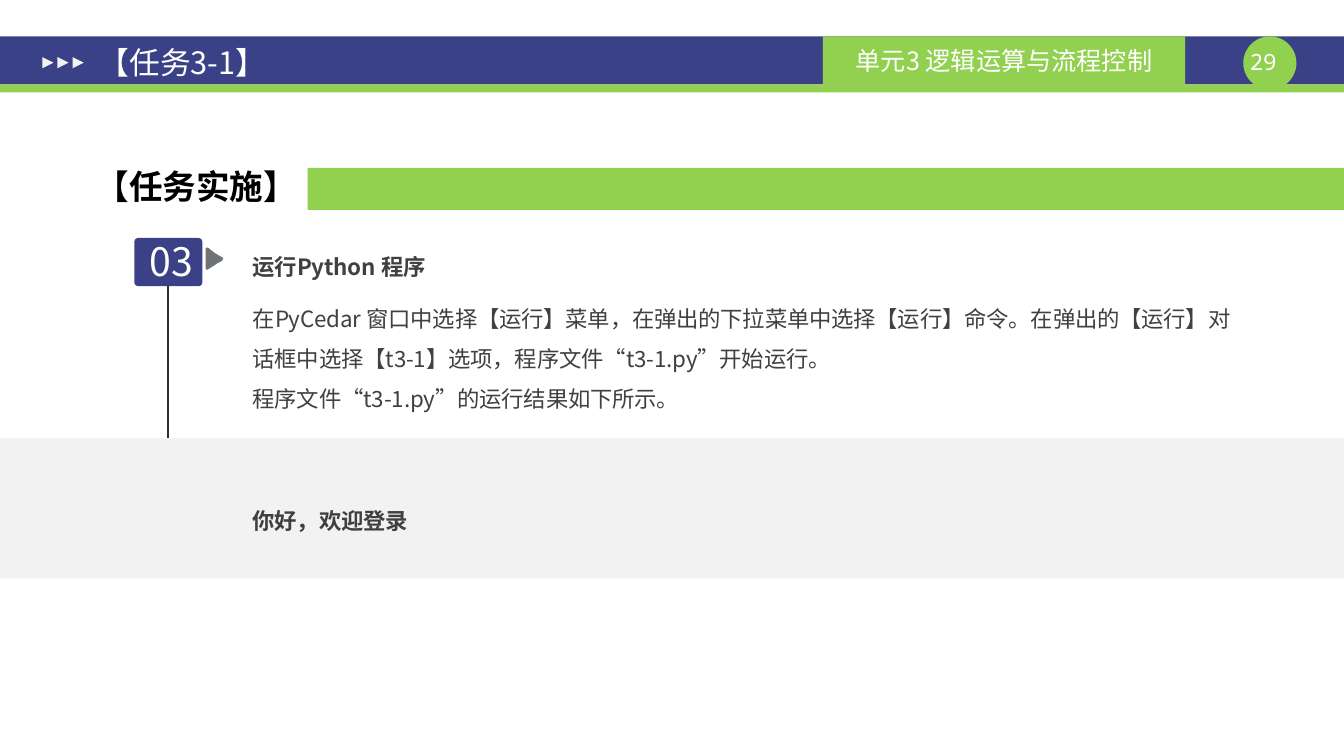
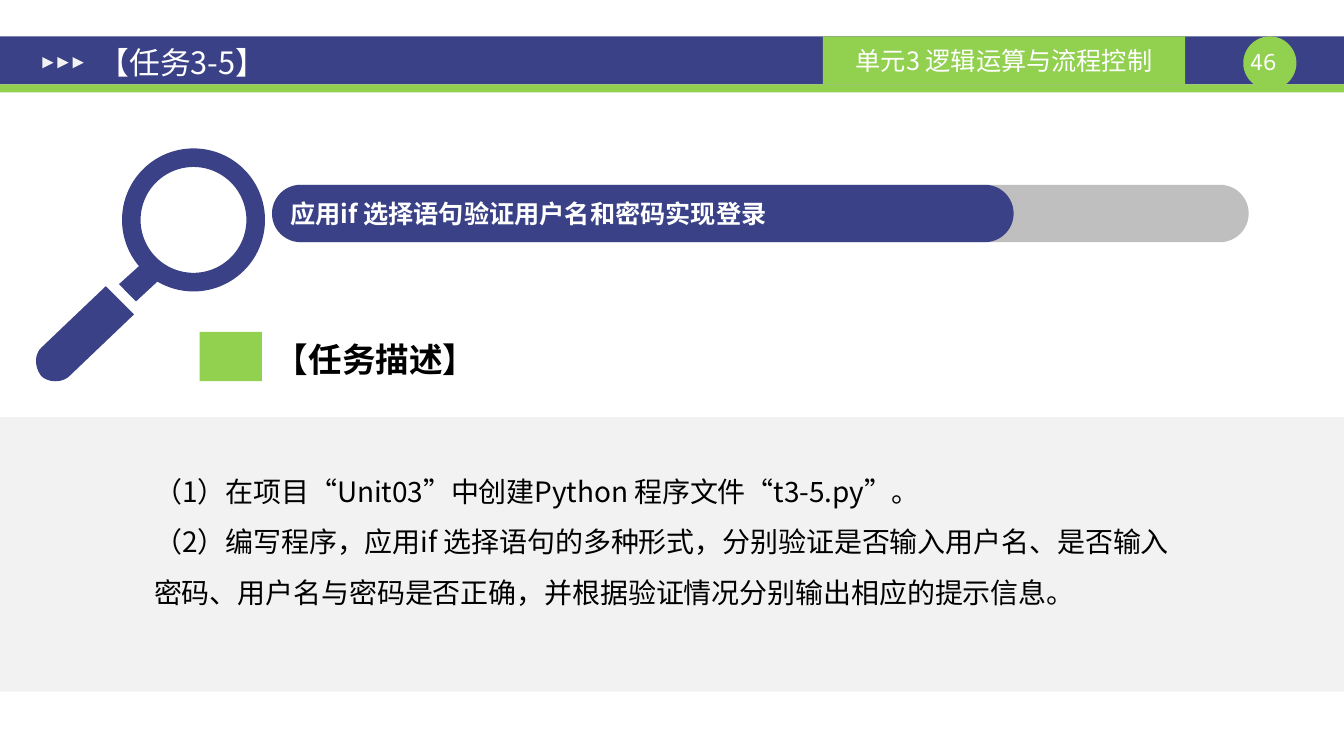
"""Build two course slides about login tasks in Python."""
import pptx
import pptx.dml.color
import pptx.enum.shapes
import pptx.enum.text
import pptx.oxml
import pptx.oxml.ns
import pptx.util

Pt = pptx.util.Pt
Form = pptx.enum.shapes.MSO_SHAPE
Align = pptx.enum.text.PP_ALIGN
Anchor = pptx.enum.text.MSO_ANCHOR
WIDE, HIGH = 960.48, 540
SANS, MONO = "Noto Sans CJK SC", "Noto Sans Mono"
HUES = {
    "navy": "3A4187", "green": "92D050", "white": "FFFFFF", "black": "000000",
    "pale": "F2F2F2", "silver": "BFBFBF", "gray": "6F7376", "ink": "404040",
    "line": "2E2C2C",
}


def tint(name):
    return pptx.dml.color.RGBColor.from_string(HUES[name])


def write(frame, text, size=16, hue="ink", font=SANS, bold=False,
          align=Align.LEFT, lead=None, gap=None, track=None):
    para = frame.add_paragraph() if frame.text else frame.paragraphs[0]
    para.alignment = align
    if lead:
        para.line_spacing = lead
    if gap:
        para.space_before = Pt(gap)
    run = para.add_run()
    run.text = text
    run.font.size = Pt(size)
    run.font.bold = bold
    run.font.name = font
    run.font.color.rgb = tint(hue)
    props = run._r.get_or_add_rPr()
    east = pptx.oxml.parse_xml(f'<a:ea {pptx.oxml.ns.nsdecls("a")} typeface="{font}"/>')
    props.find(pptx.oxml.ns.qn("a:latin")).addnext(east)
    if track:
        props.set("spc", str(round(track * 100)))


def trace(start, steps):
    dots = [start]
    for step in steps:
        if len(step) == 2:
            dots.append(step)
            continue
        x, y = dots[-1]
        a, b, c, d, e, f = step
        for t in (i / 12 for i in range(1, 13)):
            u = 1 - t
            k = (u ** 3, 3 * u * u * t, 3 * u * t * t, t ** 3)
            dots.append((k[0] * x + k[1] * a + k[2] * c + k[3] * e,
                         k[0] * y + k[1] * b + k[2] * d + k[3] * f))
    return [(Pt(x), Pt(y)) for x, y in dots]


class Deck:
    def __init__(self):
        self.show = pptx.Presentation()
        self.show.slide_width, self.show.slide_height = Pt(WIDE), Pt(HIGH)
        self.slide = None

    def paint(self, shape, hue):
        shape.shadow.inherit = False
        shape.fill.solid()
        shape.fill.fore_color.rgb = tint(hue)
        shape.line.fill.background()
        return shape

    def shape(self, left, top, wide, high, hue, form=Form.RECTANGLE, round=None):
        item = self.slide.shapes.add_shape(form, Pt(left), Pt(top), Pt(wide), Pt(high))
        if round is not None:
            item.adjustments[0] = round
        return self.paint(item, hue)

    def label(self, shape, text, **style):
        shape.text_frame.word_wrap = True
        shape.text_frame.vertical_anchor = Anchor.MIDDLE
        write(shape.text_frame, text, **style)

    def text(self, left, top, wide, high, text, inset=(7.2, 3.6),
             anchor=Anchor.TOP, **style):
        box = self.slide.shapes.add_textbox(Pt(left), Pt(top), Pt(wide), Pt(high))
        frame = box.text_frame
        frame.word_wrap = True
        frame.vertical_anchor = anchor
        frame.margin_left = frame.margin_right = Pt(inset[0])
        frame.margin_top = frame.margin_bottom = Pt(inset[1])
        write(frame, text, **style)
        return frame

    def line(self, x, y, to_x, to_y):
        rule = self.slide.shapes.add_connector(
            pptx.enum.shapes.MSO_CONNECTOR.STRAIGHT, Pt(x), Pt(y), Pt(to_x), Pt(to_y))
        rule.line.color.rgb = tint("line")
        rule.line.width = Pt(1)
        rule._element.spPr.append(
            pptx.oxml.parse_xml(f'<a:effectLst {pptx.oxml.ns.nsdecls("a")}/>'))

    def free(self, hue, start, *steps):
        dots = trace(start, steps)
        edge = self.slide.shapes.build_freeform(*dots[0], scale=1.0)
        edge.add_line_segments(dots[1:], close=True)
        self.paint(edge.convert_to_shape(), hue)

    def page(self, title, number):
        self.slide = self.show.slides.add_slide(self.show.slide_layouts[6])
        self.shape(0, 26, WIDE, 34.2, "navy")
        self.shape(0, 60.2, WIDE, 5.8, "green")
        self.shape(888.5, 26, 38, 38, "green", Form.OVAL)
        self.text(883.7, 34.5, 38, 19.5, number, inset=(0, 0), hue="white",
                  font=MONO, align=Align.CENTER)
        unit = self.shape(588, 26, 259, 34.2, "green")
        self.label(unit, "单元3 逻辑运算与流程控制", size=18, hue="white", align=Align.CENTER)
        for i in range(3):
            mark = self.shape(30.2 + 10.8 * i, 40.8, 8, 8, "pale", Form.ISOSCELES_TRIANGLE)
            mark.rotation = 90
        self.text(61.2, 28.8, 520, 31.7, title, inset=(9.4, 5), anchor=Anchor.MIDDLE,
                  size=22, hue="white")

    def head(self, left, top, text):
        self.text(left, top, 188, 36, text, size=24, hue="black", bold=True)

    def lens(self):
        self.free("navy", (117.4, 196.6), (97.2, 215.3), (85, 203), (105.8, 184.3))
        self.shape(87.2, 106, 102.2, 102.2, "navy", Form.DONUT, 0.13)
        self.free("navy", (75.6, 204.5), (29.5, 248.4),
                  (24.5, 253.4, 24.5, 262, 29.5, 268.6),
                  (34.6, 273.6, 44.6, 273.6, 49.7, 268.6), (95.8, 224.6))

    def badge(self, text):
        self.line(120.2, 186.5, 120.2, 313.2)
        self.free("gray", (158.4, 183.6), (153.4, 180.7),
                  (151.9, 179.3, 150.5, 178.6, 149, 177.1),
                  (147.6, 176.4, 146.9, 177.1, 146.9, 178.6), (146.9, 190.8),
                  (146.9, 193, 147.6, 193, 149, 192.2), (153.4, 189.4),
                  (155.5, 187.9, 157, 187.2, 158.4, 186.5),
                  (159.8, 185, 159.8, 184.3, 158.4, 183.6))
        self.shape(96, 170, 48.6, 34.4, "navy", Form.ROUNDED_RECTANGLE, 0.08)
        self.text(94.3, 166.3, 56, 41, text, size=28, hue="white", align=Align.CENTER)


def run_page(deck):
    deck.page("【任务3-1】", "29")
    deck.shape(0, 313.2, WIDE, 100, "pale")
    deck.badge("03")
    deck.shape(219.8, 120, WIDE - 219.8, 30, "green")
    deck.head(61.2, 115.2, "【任务实施】")
    style = {"lead": 1.5, "track": -0.1}
    deck.text(173.5, 167.8, 726.5, 33, "运行Python 程序", bold=True, **style)
    body = deck.text(
        173.5, 204.5, 726.5, 181.4,
        "在PyCedar 窗口中选择【运行】菜单，在弹出的下拉菜单中选择【运行】命令。"
        "在弹出的【运行】对话框中选择【t3-1】选项，程序文件“t3-1.py”开始运行。", **style)
    write(body, "程序文件“t3-1.py”的运行结果如下所示。", **style)
    write(body, "你好，欢迎登录", bold=True, gap=58, **style)


def task_page(deck):
    deck.page("【任务3-5】", "46")
    deck.shape(0, 298, WIDE, 196, "pale")
    deck.shape(194.4, 132, 698, 41, "silver", Form.ROUNDED_RECTANGLE, 0.5)
    pill = deck.shape(194.4, 132, 530, 41, "navy", Form.ROUNDED_RECTANGLE, 0.5)
    deck.label(pill, "应用if 选择语句验证用户名和密码实现登录", size=18, hue="white", bold=True)
    deck.lens()
    deck.shape(142.6, 237, 44.6, 35.3, "green")
    deck.head(189.4, 238.3, "【任务描述】")
    style = {"size": 20, "hue": "black", "lead": 1.5, "track": -0.1}
    body = deck.text(103, 323.3, 755.3, 116.6,
                     "（1）在项目“Unit03”中创建Python 程序文件“t3-5.py”。", **style)
    write(body, "（2）编写程序，应用if 选择语句的多种形式，分别验证是否输入用户名、是否输入密码、"
                "用户名与密码是否正确，并根据验证情况分别输出相应的提示信息。", **style)


def main():
    deck = Deck()
    run_page(deck)
    task_page(deck)
    deck.show.save("out.pptx")


if __name__ == "__main__":
    main()
